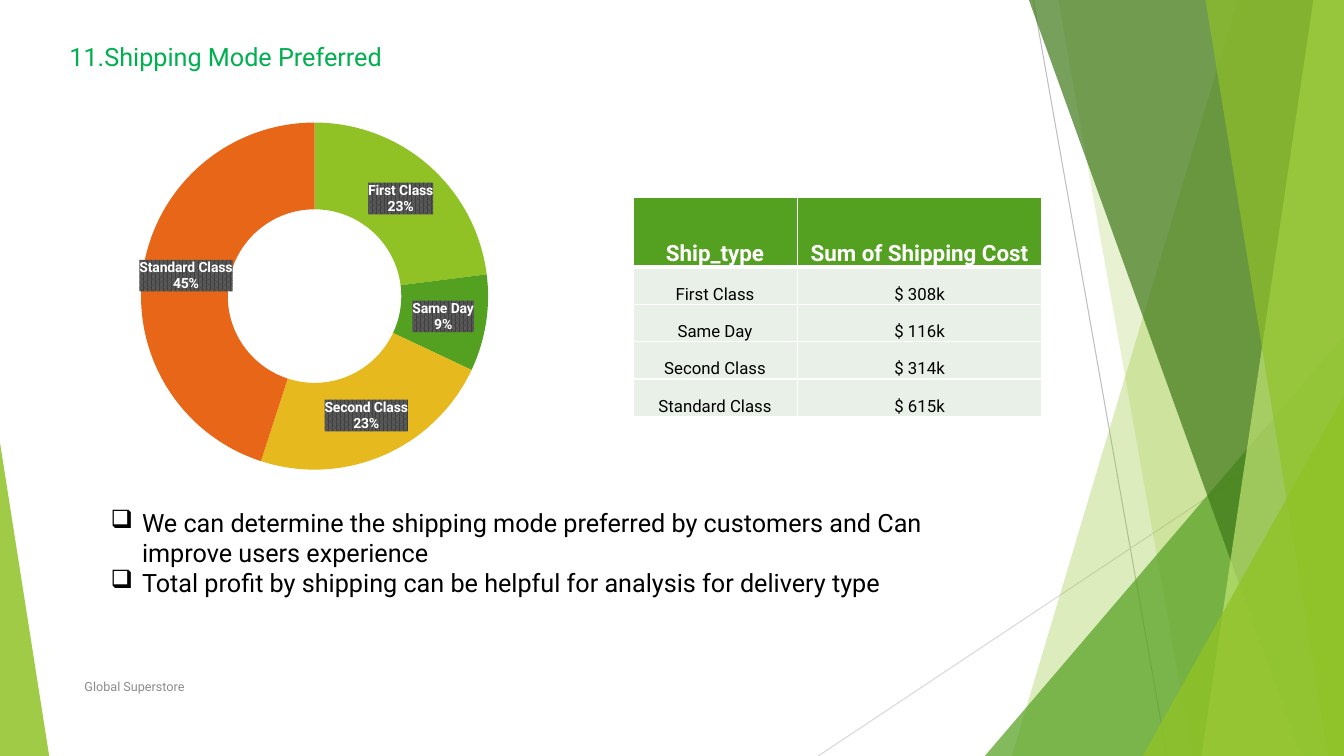
from lxml import etree
from pptx import Presentation
from pptx.chart.data import CategoryChartData
from pptx.dml.color import RGBColor
from pptx.enum.chart import XL_CHART_TYPE
from pptx.enum.shapes import MSO_CONNECTOR, MSO_SHAPE
from pptx.enum.text import MSO_ANCHOR, PP_ALIGN
from pptx.oxml import parse_xml
from pptx.oxml.ns import nsdecls, qn
from pptx.util import Cm, Pt

DONUT = XL_CHART_TYPE.DOUGHNUT
LINE = MSO_CONNECTOR.STRAIGHT
TRI = MSO_SHAPE.ISOSCELES_TRIANGLE
MID, LOW = MSO_ANCHOR.MIDDLE, MSO_ANCHOR.BOTTOM
TOP = MSO_ANCHOR.TOP
LEFT, CENTER = PP_ALIGN.LEFT, PP_ALIGN.CENTER

FONT = "Roboto"
WIDE, HIGH = 33.87, 19.05
LIME, GREEN = "90C226", "54A021"

# Top x, bottom x, colour, opacity of the bands that reach the right edge
BACK = [(31.19, 25.5, LIME, 30), (26.67, 30.05, LIME, 20)]
FRONT = [(25.93, 32.79, "3F7819", 70), (33.1, 30.28, "C0E474", 70),
         (30.38, 33.48, LIME, 65)]

SHARES = {"First Class": (23, LIME), "Same Day": (9, GREEN),
          "Second Class": (23, "E6B91E"), "Standard Class": (45, "E76618")}
COSTS = [("Ship_type", "Sum of Shipping Cost"),
         ("First Class", "$ 308k"), ("Same Day", "$ 116k"),
         ("Second Class", "$ 314k"), ("Standard Class", "$ 615k")]
NOTES = ["We can determine the shipping mode preferred by customers and Can "
         "improve users experience",
         "Total profit by shipping can be helpful for analysis for delivery type"]


def color(code):
    return RGBColor.from_string(code)


def style(font, size, code, bold=False):
    font.name, font.size, font.bold = FONT, Pt(size), bold
    font.color.rgb = color(code)


def write(frame, lines, size=18, code="000000", bold=False, align=LEFT,
          anchor=TOP, bullet=None):
    frame.word_wrap = True
    frame.vertical_anchor = anchor
    for i, line in enumerate(lines):
        para = frame.paragraphs[0] if i == 0 else frame.add_paragraph()
        para.alignment = align
        if bullet:
            props = para._p.get_or_add_pPr()
            props.set("marL", str(Cm(0.79)))
            props.set("indent", str(-Cm(0.79)))
            etree.SubElement(props, qn("a:buChar")).set("char", bullet)
        run = para.add_run()
        run.text = line
        style(run.font, size, code, bold)


def label(slide, x, y, w, h, lines, **kind):
    box = slide.shapes.add_textbox(Cm(x), Cm(y), Cm(w), Cm(h))
    write(box.text_frame, lines, **kind)


def paint(shape, code, alpha):
    shape.shadow.inherit = False
    shape.fill.solid()
    shape.fill.fore_color.rgb = color(code)
    shape.line.fill.background()
    tint = shape._element.spPr.find(".//" + qn("a:srgbClr"))
    etree.SubElement(tint, qn("a:alpha")).set("val", str(alpha * 1000))


def band(slide, top, foot, code, alpha):
    path = slide.shapes.build_freeform(Cm(top), 0)
    path.add_line_segments([(Cm(WIDE), 0), (Cm(WIDE), Cm(HIGH)),
                            (Cm(foot), Cm(HIGH))])
    paint(path.convert_to_shape(), code, alpha)


def wedge(slide, x, y, w, tip, code, alpha):
    shape = slide.shapes.add_shape(TRI, Cm(x), Cm(y), Cm(w), Cm(HIGH - y))
    shape.adjustments[0] = tip
    paint(shape, code, alpha)


def thread(slide, x1, y1, x2, y2, code):
    line = slide.shapes.add_connector(LINE, Cm(x1), Cm(y1), Cm(x2), Cm(y2))
    line.line.color.rgb = color(code)
    line.line.width = Pt(0.75)
    etree.SubElement(line._element.spPr, qn("a:effectLst"))


def facets(slide):
    thread(slide, 26.04, 0, 29.41, HIGH, "BFBFBF")
    thread(slide, WIDE, 10.24, 20.62, HIGH, "D9D9D9")
    for item in BACK:
        band(slide, *item)
    wedge(slide, 24.82, 8.46, 9.05, 1, GREEN, 72)
    for item in FRONT:
        band(slide, *item)
    wedge(slide, 28.8, 9.98, 5.07, 1, LIME, 80)
    wedge(slide, 0, 11.15, 1.24, 0, LIME, 85)


def edge(cell, side, width):
    cell._tc.get_or_add_tcPr().append(parse_xml(
        f'<a:ln{side} {nsdecls("a")} w="{Pt(width)}"><a:solidFill>'
        f'<a:srgbClr val="FFFFFF"/></a:solidFill></a:ln{side}>'))


def table(slide):
    frame = slide.shapes.add_table(len(COSTS), 2, Cm(15.95), Cm(4.98),
                                   Cm(10.31), Cm(5.51))
    grid = frame.table
    for col, width in zip(grid.columns, (4.14, 6.17)):
        col.width = Cm(width)
    for r, texts in enumerate(COSTS):
        head = r == 0
        grid.rows[r].height = Cm(1.75 if head else 0.94)
        for c, text in enumerate(texts):
            cell = grid.cell(r, c)
            cell.margin_left = cell.margin_right = cell.margin_top = Cm(0.03)
            cell.margin_bottom = 0
            for side in "LRTB":
                thick = (head and side == "B") or (r == 1 and side == "T")
                edge(cell, side, 3 if thick else 1)
            cell.fill.solid()
            cell.fill.fore_color.rgb = color(GREEN if head else "E9F0E8")
            write(cell.text_frame, [text], size=16 if head else 12, bold=head,
                  code="FFFFFF" if head else "000000", align=CENTER)
            cell.vertical_anchor = LOW


def donut(slide):
    data = CategoryChartData()
    data.categories = list(SHARES)
    data.add_series("Series 1", [share for share, _ in SHARES.values()])
    chart = slide.shapes.add_chart(DONUT, Cm(-1.09), Cm(1.93), Cm(20.04),
                                   Cm(10.54), data).chart
    chart.has_legend = chart.has_title = False
    style(chart.font, 10, "000000")
    plot = chart.plots[0]
    plot.vary_by_categories = True
    ring = plot.series[0]
    for i, (_, code) in enumerate(SHARES.values()):
        look = ring.points[i].format
        look.fill.solid()
        look.fill.fore_color.rgb = color(code)
        look.line.fill.background()

    # Labels on a dark pattern
    tags = ring.data_labels
    tags.show_value = False
    tags.show_category_name = tags.show_percentage = True
    tags.number_format = "0%"
    tags.number_format_is_linked = False
    style(tags.font, 10, "FFFFFF", True)
    node = tags._element
    node.find(qn("c:txPr")).addprevious(parse_xml(
        f'<c:spPr {nsdecls("c", "a")}><a:pattFill prst="pct75">'
        '<a:fgClr><a:srgbClr val="404040"/></a:fgClr>'
        '<a:bgClr><a:srgbClr val="595959"/></a:bgClr></a:pattFill>'
        '<a:ln><a:noFill/></a:ln></c:spPr>'))
    gap = etree.Element(qn("c:separator"))
    gap.text = "\n"
    node.find(qn("c:showBubbleSize")).addnext(gap)

    # Place of the ring inside the chart
    area = chart._chartSpace.find(".//" + qn("c:plotArea"))
    for old in area.findall(qn("c:layout")):
        area.remove(old)
    spots = {"layoutTarget": "inner", "xMode": "edge", "yMode": "edge",
             "x": 0.2, "y": 0.11, "w": 0.5, "h": 0.83}
    inner = "".join(f'<c:{key} val="{val}"/>' for key, val in spots.items())
    area.insert(0, parse_xml(f'<c:layout {nsdecls("c")}><c:manualLayout>'
                             f'{inner}</c:manualLayout></c:layout>'))


def main():
    deck = Presentation()
    deck.slide_width, deck.slide_height = Cm(WIDE), Cm(HIGH)
    slide = deck.slides.add_slide(deck.slide_layouts[6])
    facets(slide)
    label(slide, 1.5, 0.91, 9.45, 1.02, ["11.Shipping Mode Preferred"],
          code="00B050")
    table(slide)
    donut(slide)
    label(slide, 2.54, 12.65, 21.11, 2.57, NOTES, bullet="❑")
    label(slide, 1.88, 16.79, 17.5, 1.02, ["Global Superstore"], size=9,
          code="8C8C8C", anchor=MID)
    deck.save("out.pptx")


if __name__ == "__main__":
    main()
